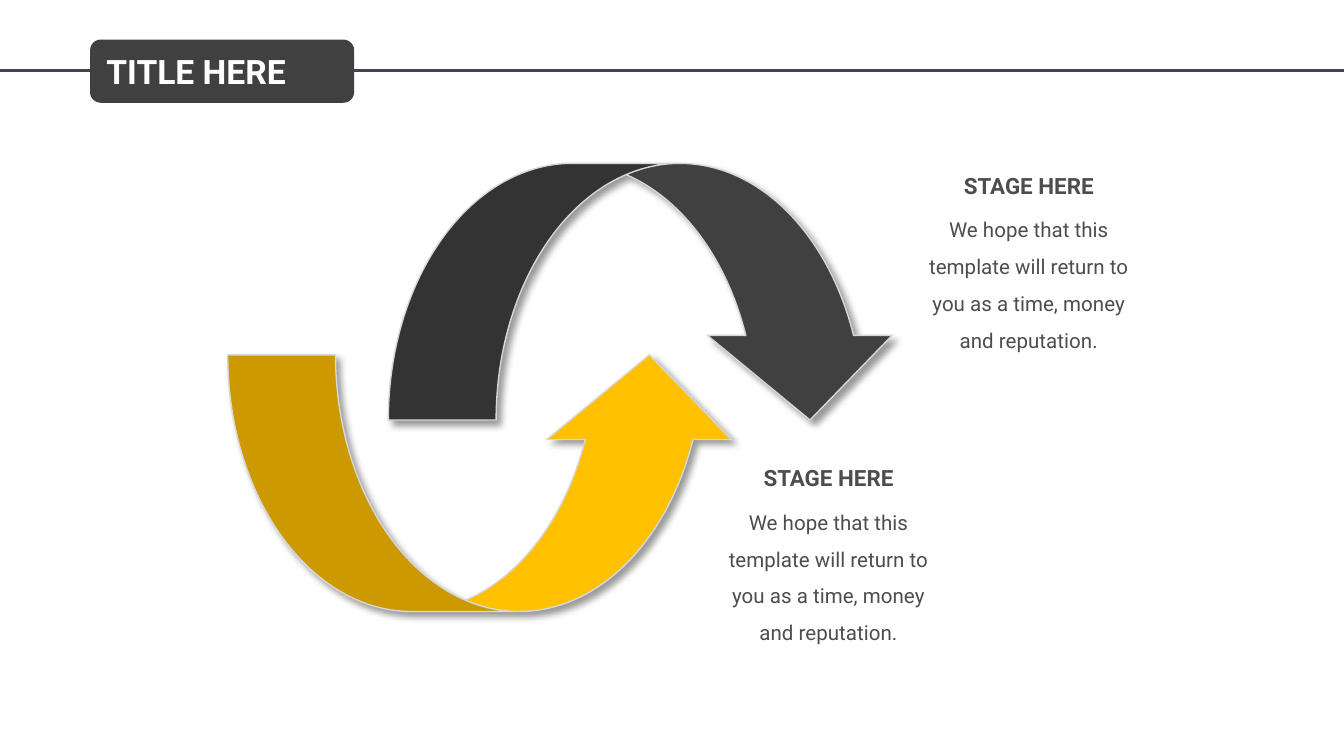
import dataclasses

import lxml.etree
import pptx
import pptx.dml.color
import pptx.enum.shapes
import pptx.enum.text
import pptx.oxml.ns
import pptx.util

SCALE = 4572
ALIGN = pptx.enum.text.PP_ALIGN
SHAPE = pptx.enum.shapes.MSO_SHAPE
qn = pptx.oxml.ns.qn


@dataclasses.dataclass(frozen=True)
class Theme:
    """Hold the colours, font and type sizes."""
    font: str = "Roboto"
    dark: str = "404040"
    gold: str = "FFC000"
    rule: str = "414455"
    edge: str = "D7D7D7"
    text: str = "4D4D4D"
    white: str = "FFFFFF"
    shade: str = "000000"
    title: int = 18
    head: int = 12
    body: int = 11


THEME = Theme()


def px(*vals):
    """Turn px lengths into EMU."""
    return [pptx.util.Emu(val * SCALE) for val in vals]


def rgb(code):
    """Make a colour from its hex code."""
    return pptx.dml.color.RGBColor.from_string(code)


def write(shape, text, size, color, bold=False, align=ALIGN.LEFT, space=None):
    """Put one formatted paragraph into a shape."""
    frame = shape.text_frame
    frame.word_wrap = True
    frame.text = text
    para = frame.paragraphs[0]
    para.alignment = align
    if space:
        para.line_spacing = space
    font = para.runs[0].font
    font.name = THEME.font
    font.size = pptx.util.Pt(size)
    font.bold = bold
    font.color.rgb = rgb(color)


def form(slide, kind, box, fill, adjust):
    """Add a plain filled preset shape."""
    shape = slide.shapes.add_shape(kind, *px(*box))
    shape.shadow.inherit = False
    shape.fill.solid()
    shape.fill.fore_color.rgb = rgb(fill)
    for i, val in enumerate(adjust):
        shape.adjustments[i] = val
    return shape


def header(slide, box, text):
    """Draw the rule across the slide and the title tab on it."""
    left, top, width, height = box
    mid = top + 46
    kind = pptx.enum.shapes.MSO_CONNECTOR.STRAIGHT
    rule = slide.shapes.add_connector(kind, *px(0, mid, 2000, mid))
    rule.line.color.rgb = rgb(THEME.rule)
    rule.line.width = pptx.util.Pt(1.5)
    lxml.etree.SubElement(rule._element.spPr, qn("a:effectLst"))
    tab = form(slide, SHAPE.ROUNDED_RECTANGLE, box, THEME.dark, [0.17])
    tab.line.fill.background()
    tab.text_frame.vertical_anchor = pptx.enum.text.MSO_ANCHOR.MIDDLE
    write(tab, text, THEME.title, THEME.white, bold=True)


def shade(shape):
    """Give a shape a soft shadow to the lower right."""
    effects = shape._element.spPr.find(qn("a:effectLst"))
    outer = lxml.etree.SubElement(
        effects, qn("a:outerShdw"), blurRad=str(pptx.util.Pt(4)),
        dist=str(pptx.util.Pt(3)), dir="2700000", algn="tl", rotWithShape="0")
    color = lxml.etree.SubElement(outer, qn("a:srgbClr"), val=THEME.shade)
    lxml.etree.SubElement(color, qn("a:alpha"), val="40000")


def arrow(slide, box, fill, over=False):
    """Draw a curved arrow, turned upside down if over is set."""
    shape = form(slide, SHAPE.CURVED_UP_ARROW, box, fill, [0.42, 0.72, 0.33])
    shape.line.color.rgb = rgb(THEME.edge)
    shape.line.width = pptx.util.Pt(0.75)
    shade(shape)
    if over:
        shape.rotation = 180
        shape._element.spPr.find(qn("a:xfrm")).set("flipH", "1")


def stage(slide, box, head, body):
    """Write a stage heading with its body text below."""
    left, top, width, height = box
    drop = 49
    text = slide.shapes.add_textbox(*px(left, top + drop, width, height - drop))
    write(text, body, THEME.body, THEME.text, align=ALIGN.CENTER, space=1.5)
    name = slide.shapes.add_textbox(*px(left, top, width, 62))
    write(name, head, THEME.head, THEME.text, bold=True, align=ALIGN.CENTER)


def main():
    """Build the slide and save it."""
    deck = pptx.Presentation()
    deck.slide_width, deck.slide_height = px(2000, 1125)
    slide = deck.slides.add_slide(deck.slide_layouts[6])
    header(slide, (134, 59, 393, 94), "TITLE HERE")
    head = "STAGE HERE"
    body = ("We hope that this template will return to you "
            "as a time, money and reputation.")
    arrow(slide, (339, 528, 765, 382), THEME.gold)
    stage(slide, (1042, 681, 382, 291), head, body)
    arrow(slide, (578, 243, 765, 382), THEME.dark, over=True)
    stage(slide, (1340, 246, 382, 291), head, body)
    deck.save("out.pptx")


if __name__ == "__main__":
    main()
